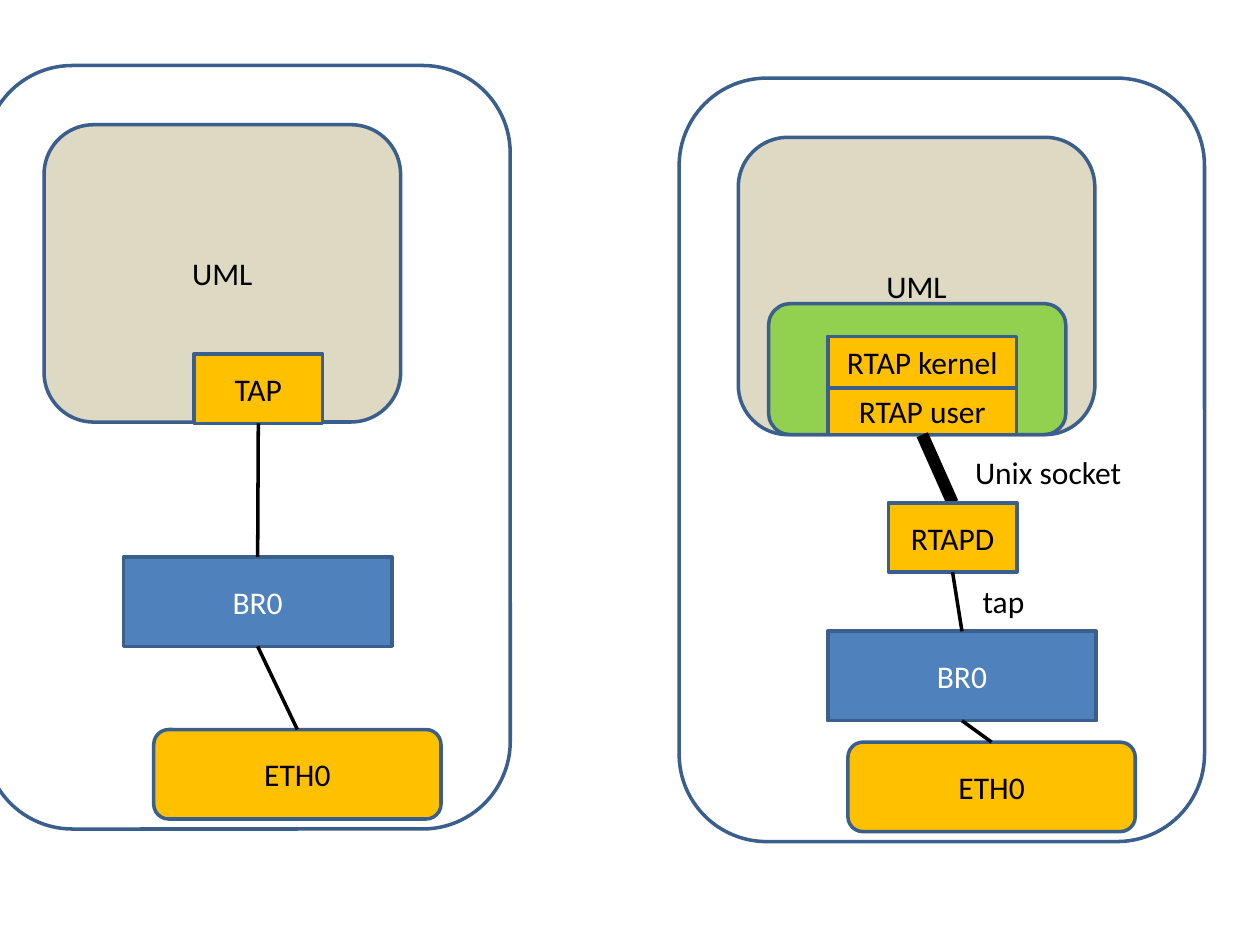
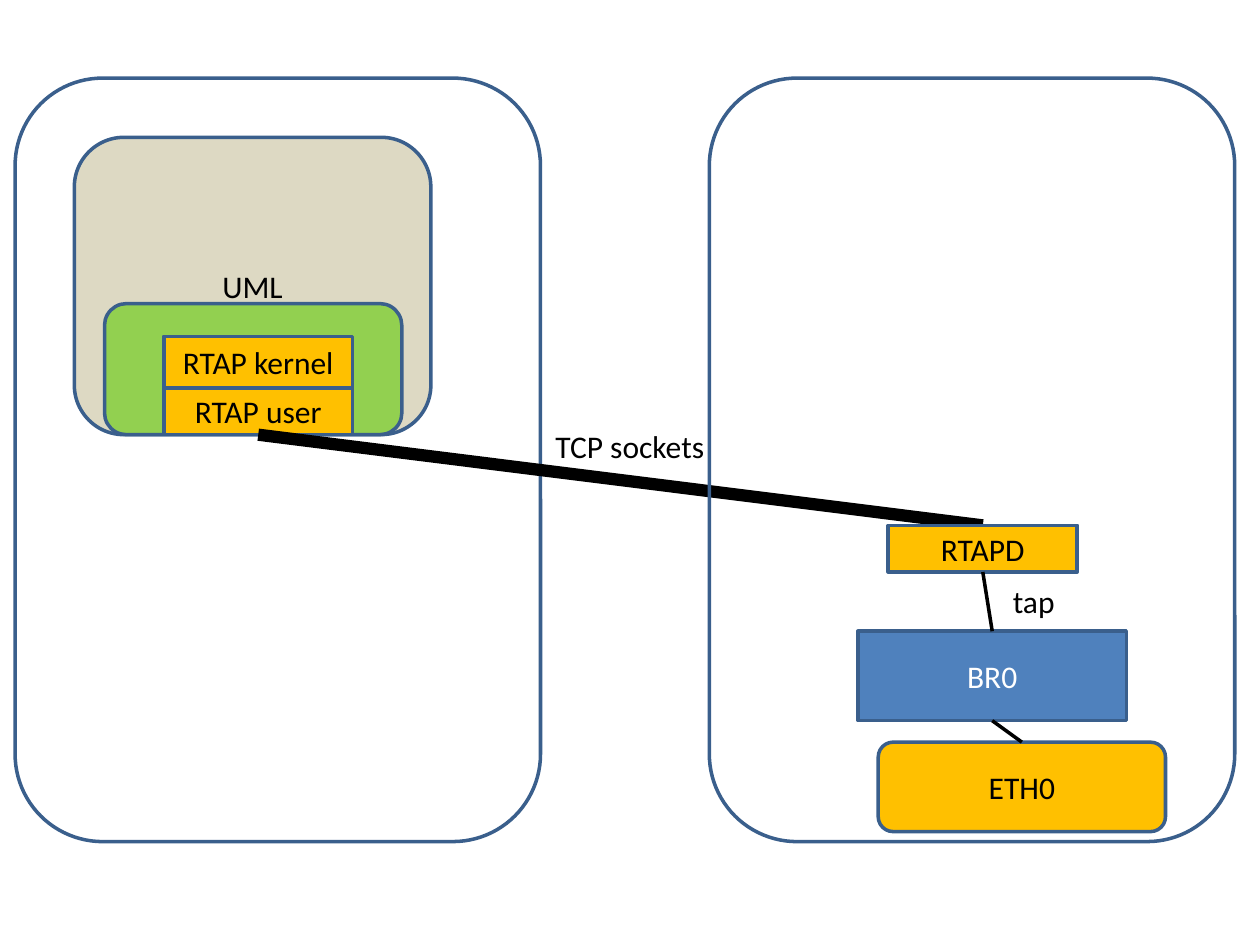
"""Two slides comparing TAP, local RTAP and remote RTAP networking for UML."""
from dataclasses import dataclass
from typing import Optional

import pptx
import pptx.dml.color
import pptx.enum.shapes
import pptx.enum.text
import pptx.util
from lxml import etree
from pptx.util import Inches

COLORS = {
    "outline": "3A5F8C",
    "uml": "DDD9C3",
    "guest": "92D050",
    "port": "FFC000",
    "bridge": "4F81BD",
    "black": "000000",
    "white": "FFFFFF",
}
FONT = "Calibri"
TEXT_SIZE = 18
THIN, THICK = 2, 7
TOP, BOTTOM = 0, 2  # connection sites of a rectangle
RECT = pptx.enum.shapes.MSO_SHAPE.RECTANGLE
ROUND = pptx.enum.shapes.MSO_SHAPE.ROUNDED_RECTANGLE


@dataclass(frozen=True)
class Part:
    """A kind of box: size in inches, outline form, colours and caption."""
    w: float
    h: float
    form: int
    fill: Optional[str] = None
    text: str = ""
    ink: str = "black"


@dataclass(frozen=True)
class Host:
    """Top left corner of a host; its parts are placed relative to it."""
    x: float
    y: float


HOST = Part(4.17, 6.06, ROUND)
UML = Part(2.83, 2.36, ROUND, "uml", "UML")
GUEST = Part(2.36, 1.04, ROUND, "guest")
KERNEL = Part(1.5, 0.41, RECT, "port", "RTAP kernel")
USER = Part(1.5, 0.37, RECT, "port", "RTAP user")
TAP = Part(1.02, 0.55, RECT, "port", "TAP")
RTAPD = Part(1.02, 0.55, RECT, "port", "RTAPD")
WIDE_RTAPD = Part(1.5, 0.37, RECT, "port", "RTAPD")
BRIDGE = Part(2.13, 0.71, RECT, "bridge", "BR0", "white")
ETH = Part(2.28, 0.71, ROUND, "port", "ETH0")


def rgb(name: str) -> pptx.dml.color.RGBColor:
    """Look up a named colour."""
    return pptx.dml.color.RGBColor.from_string(COLORS[name])


def set_text(tf, text: str, ink: str = "black"):
    """Write one paragraph in the shared type style and return it."""
    p = tf.paragraphs[0]
    p.text = text
    p.font.name = FONT
    p.font.size = pptx.util.Pt(TEXT_SIZE)
    p.font.color.rgb = rgb(ink)
    return p


def add_part(s, host: Host, part: Part, dx: float = 0, dy: float = 0):
    """Draw a part at an offset from its host's corner."""
    sp = s.shapes.add_shape(part.form, Inches(host.x + dx), Inches(host.y + dy),
                            Inches(part.w), Inches(part.h))
    sp.shadow.inherit = False
    if part.fill:
        sp.fill.solid()
        sp.fill.fore_color.rgb = rgb(part.fill)
    else:
        sp.fill.background()
    sp.line.color.rgb = rgb("outline")
    sp.line.width = pptx.util.Pt(THIN)
    if part.text:
        sp.text_frame.vertical_anchor = pptx.enum.text.MSO_ANCHOR.MIDDLE
        p = set_text(sp.text_frame, part.text, part.ink)
        p.alignment = pptx.enum.text.PP_ALIGN.CENTER
    return sp


def add_label(s, x: float, y: float, w: float, text: str) -> None:
    """Add an unwrapped label beside a link."""
    tf = s.shapes.add_textbox(Inches(x), Inches(y), Inches(w), Inches(0.4)).text_frame
    tf.word_wrap = False
    tf.auto_size = pptx.enum.text.MSO_AUTO_SIZE.SHAPE_TO_FIT_TEXT
    set_text(tf, text)


def add_link(s, upper, lower, width: float = THIN, behind=None) -> None:
    """Connect the bottom of one box to the top of another."""
    link = s.shapes.add_connector(pptx.enum.shapes.MSO_CONNECTOR.STRAIGHT, 0, 0, 0, 0)
    link.begin_connect(upper, BOTTOM)
    link.end_connect(lower, TOP)
    link.line.color.rgb = rgb("black")
    link.line.width = pptx.util.Pt(width)
    etree.SubElement(link.element.spPr, pptx.oxml.ns.qn("a:effectLst"))
    if behind is not None:
        behind.element.addprevious(link.element)


def add_rtap_guest(s, host: Host):
    """Draw a UML machine with its RTAP stack; return the user part."""
    add_part(s, host, UML, 0.47, 0.47)
    add_part(s, host, GUEST, 0.71, 1.79)
    user = add_part(s, host, USER, 1.18, 2.46)
    add_part(s, host, KERNEL, 1.18, 2.05)
    return user


def add_uplink(s, host: Host, source, dx: float, dy: float) -> None:
    """Draw the bridge at an offset and the network port, linked to a source."""
    bridge = add_part(s, host, BRIDGE, dx, dy)
    eth = add_part(s, host, ETH, 1.34, 5.27)
    add_link(s, source, bridge)
    add_link(s, bridge, eth)


def add_rtapd_uplink(s, host: Host, part: Part, dx: float):
    """Draw the RTAP daemon above its bridge and return the daemon."""
    daemon = add_part(s, host, part, dx, 3.92 - part.h)
    add_uplink(s, host, daemon, 1.18, 4.39)
    add_label(s, host.x + 2.31, host.y + 3.95, 0.54, "tap")
    return daemon


def build_local_slide(prs) -> None:
    """Plain TAP on the left, RTAP over a Unix socket on the right."""
    s = prs.slides.add_slide(prs.slide_layouts[6])
    left, right = Host(-0.12, 0.52), Host(5.39, 0.62)

    add_part(s, left, HOST)
    add_part(s, left, UML, 0.47, 0.47)
    tap = add_part(s, left, TAP, 1.66, 2.29)
    add_uplink(s, left, tap, 1.1, 3.9)

    add_part(s, right, HOST)
    user = add_rtap_guest(s, right)
    daemon = add_rtapd_uplink(s, right, RTAPD, 1.66)
    add_link(s, user, daemon, THICK, behind=daemon)
    add_label(s, 7.64, 3.55, 1.37, "Unix socket")


def build_remote_slide(prs) -> None:
    """RTAP between two hosts over TCP sockets."""
    s = prs.slides.add_slide(prs.slide_layouts[6])
    left, right = Host(0.12, 0.62), Host(5.63, 0.62)

    add_part(s, left, HOST)
    user = add_rtap_guest(s, left)
    frame = add_part(s, right, HOST)
    daemon = add_rtapd_uplink(s, right, WIDE_RTAPD, 1.42)
    add_link(s, user, daemon, THICK, behind=frame)
    add_label(s, 4.31, 3.34, 1.4, "TCP sockets")


def main() -> None:
    """Build and save the presentation."""
    prs = pptx.Presentation()
    prs.slide_width, prs.slide_height = Inches(10), Inches(7.5)
    build_local_slide(prs)
    build_remote_slide(prs)
    prs.save("out.pptx")


main()
